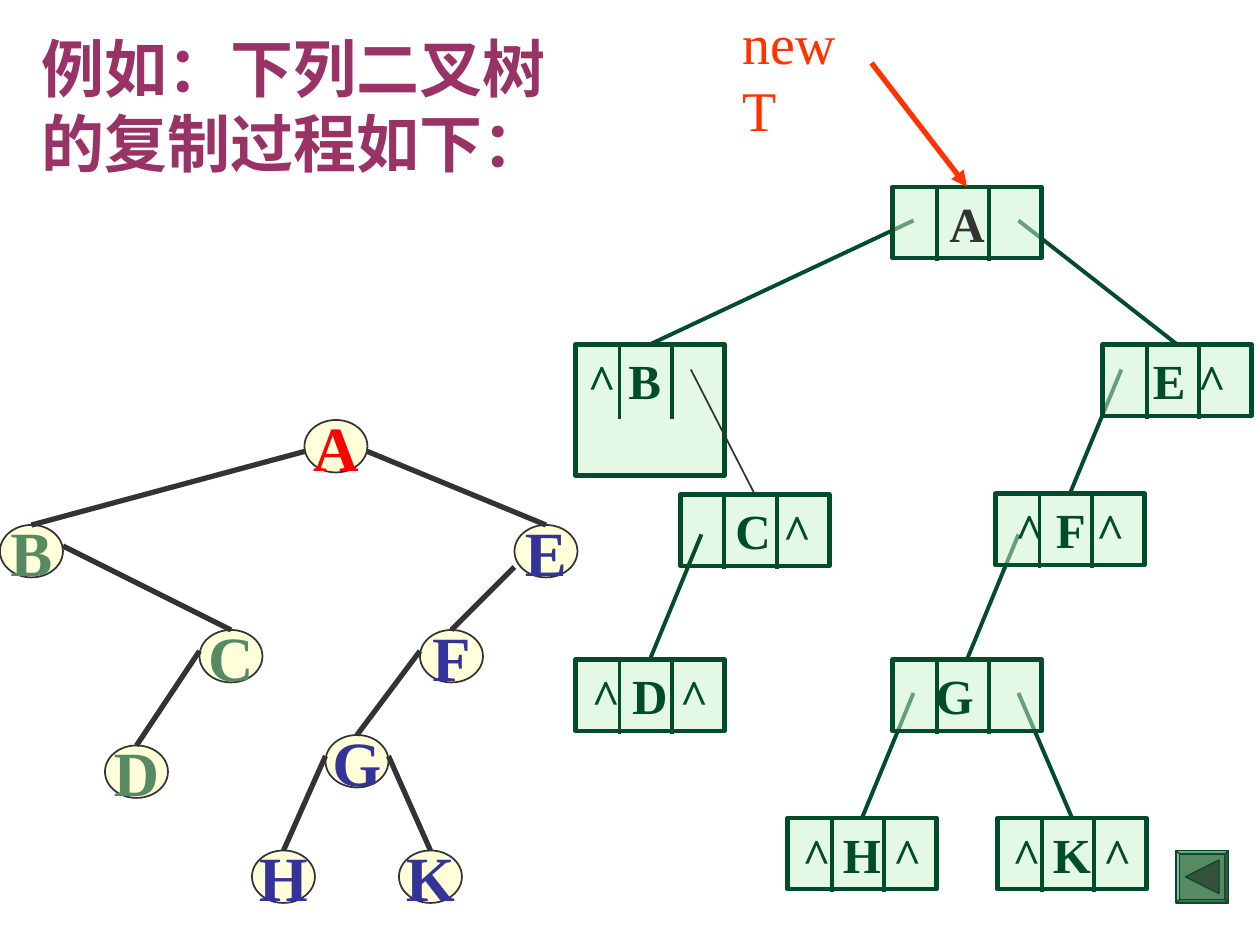
from dataclasses import dataclass

from lxml.etree import SubElement
from pptx import Presentation
from pptx.dml.color import RGBColor
from pptx.enum.shapes import MSO_CONNECTOR, MSO_SHAPE
from pptx.enum.text import MSO_ANCHOR, PP_ALIGN
from pptx.oxml.ns import qn
from pptx.util import Cm, Length, Pt

LATIN_FONT = "Times New Roman"
TITLE_FONT = "Noto Sans CJK SC"
CREAM = RGBColor(0xFF, 0xFF, 0xD9)
MINT = RGBColor(0xCA, 0xF2, 0xCE)
CHARCOAL = RGBColor(0x33, 0x33, 0x33)
DARK_GREEN = RGBColor(0x00, 0x4C, 0x2B)
SAGE = RGBColor(0x57, 0x89, 0x63)
SHADED_SAGE = RGBColor(0x34, 0x52, 0x3B)
INDIGO = RGBColor(0x33, 0x33, 0x99)
RED = RGBColor(0xFF, 0x00, 0x00)
ORANGE = RGBColor(0xFF, 0x33, 0x00)
PLUM = RGBColor(0x99, 0x33, 0x66)

CIRCLE_SIZE = (6, 5)
RECORD_WIDTH, RECORD_HEIGHT = 14.2, 6.8
DIVIDER_OFFSETS = (4.2, 9.2)


@dataclass
class Circle:
    name: str
    left: float
    top: float
    color: RGBColor


@dataclass
class Branch:
    parent: str
    child: str
    across: float
    down: float
    color: RGBColor = DARK_GREEN
    width: float = 2.25


@dataclass
class Record:
    name: str
    text: str
    left: float
    top: float
    branches: tuple = ()
    branches_on_top: bool = False
    height: float = RECORD_HEIGHT
    align: PP_ALIGN = PP_ALIGN.CENTER
    color: RGBColor = DARK_GREEN
    indent: float = 0
    right_indent: float = 0


CIRCLES = [
    Circle("A", 29, 40, RED), Circle("B", 0, 50, SAGE), Circle("C", 19, 60, SAGE),
    Circle("D", 10, 71, SAGE), Circle("E", 49, 50, INDIGO), Circle("F", 40, 60, INDIGO),
    Circle("G", 31, 70, INDIGO), Circle("H", 24, 81, INDIGO), Circle("K", 38, 81, INDIGO),
]
CIRCLE_BRANCHES = [
    Branch(parent, child, across, down, CHARCOAL, 3)
    for parent, child, across, down in (
        ("A", "B", 0, 3), ("B", "C", 6, 2), ("C", "D", 0, 2), ("A", "E", 6, 3),
        ("E", "F", 0, 4), ("F", "G", 0, 2), ("G", "H", 0, 2), ("G", "K", 6, 2))
]
# Children come before their parents, so that each branch has a box to join.
RECORDS = [
    Record("D", "^ D ^", 54.8, 62.8),
    Record("C", "C ^", 64.8, 47.1, (Branch("C", "D", 2, 3.8),), True, indent=0.74),
    Record("B", "^ B", 54.8, 32.8, (Branch("B", "C", 11, 2.4, CHARCOAL, 1),), True,
           height=12.5, align=PP_ALIGN.LEFT),
    Record("H", "^ H ^", 75, 77.9),
    Record("K", "^ K ^", 95, 77.9),
    Record("G", "G", 85, 62.8, (Branch("G", "H", 2, 3.2), Branch("G", "K", 12, 3.2)),
           right_indent=0.5),
    Record("F", "^ F ^", 94.8, 47, (Branch("F", "G", 2.2, 3.9),)),
    Record("E", "E ^", 105, 32.8, (Branch("E", "F", 1.8, 2.4),), indent=0.5),
    Record("A", "A", 85, 17.8, (Branch("A", "B", 2, 3.2), Branch("A", "E", 12, 3.2)),
           color=CHARCOAL),
]


def grid(units: float) -> Length:
    """Turn grid units, twelve to the inch, into a length."""
    return Cm(units * 2.54 / 12)


def add_box(slide, preset, left, top, width, height, fill, line, line_width):
    box = slide.shapes.add_shape(preset, grid(left), grid(top), grid(width), grid(height))
    box.shadow.inherit = False
    box.fill.solid()
    box.fill.fore_color.rgb = fill
    box.line.color.rgb = line
    box.line.width = Pt(line_width)
    return box


def set_text(box, text: str, size: float, color: RGBColor, align=PP_ALIGN.LEFT,
             bold=True, wrap=True, anchor=MSO_ANCHOR.TOP, font_name=LATIN_FONT) -> None:
    frame = box.text_frame
    frame.text = text
    frame.word_wrap = wrap
    frame.vertical_anchor = anchor
    para = frame.paragraphs[0]
    para.alignment = align
    span = para.runs[0]
    span.font.name = font_name
    span.font.size = Pt(size)
    span.font.bold = bold
    span.font.color.rgb = color
    SubElement(span.font._element, qn("a:ea")).set("typeface", font_name)


def add_line(slide, start: tuple, end: tuple, color: RGBColor, width: float, target=None):
    """Draw a line, joined to the top of the target if there is one."""
    line = slide.shapes.add_connector(
        MSO_CONNECTOR.STRAIGHT, *(grid(value) for value in (*start, *end)))
    line.line.color.rgb = color
    line.line.width = Pt(width)
    SubElement(line._element.spPr, qn("a:effectLst"))
    if target is not None:
        line.end_connect(target, 0)
    return line


def add_branch(slide, branch: Branch, places: dict, boxes: dict) -> None:
    parent = places[branch.parent]
    start = (parent.left + branch.across, parent.top + branch.down)
    add_line(slide, start, start, branch.color, branch.width, boxes[branch.child])


def add_circle_tree(slide) -> None:
    places = {circle.name: circle for circle in CIRCLES}
    boxes = {}
    for circle in CIRCLES:
        box = add_box(slide, MSO_SHAPE.OVAL, circle.left, circle.top, *CIRCLE_SIZE,
                      CREAM, CHARCOAL, 1)
        set_text(box, circle.name, 36, circle.color, PP_ALIGN.CENTER, wrap=False,
                 anchor=MSO_ANCHOR.MIDDLE)
        boxes[circle.name] = box
    for branch in CIRCLE_BRANCHES:
        add_branch(slide, branch, places, boxes)


def add_record(slide, record: Record):
    box = add_box(slide, MSO_SHAPE.RECTANGLE, record.left, record.top, RECORD_WIDTH,
                  record.height, MINT, DARK_GREEN, 2.5)
    color = box._element.spPr.find(qn("a:solidFill"))[0]
    SubElement(color, qn("a:alpha")).set("val", "50000")
    set_text(box, record.text, 28, record.color, record.align)
    box.text_frame.margin_left = Cm(0.25 + record.indent)
    box.text_frame.margin_right = Cm(0.25 + record.right_indent)
    for offset in DIVIDER_OFFSETS:
        across = record.left + offset
        add_line(slide, (across, record.top + 0.1), (across, record.top + 7.1),
                 DARK_GREEN, 2.25)
    return box


def add_record_tree(slide) -> dict:
    places = {record.name: record for record in RECORDS}
    boxes = {}
    for record in RECORDS:
        if record.branches_on_top:
            boxes[record.name] = add_record(slide, record)
        for branch in record.branches:
            add_branch(slide, branch, places, boxes)
        if not record.branches_on_top:
            boxes[record.name] = add_record(slide, record)
    return boxes


def add_label(slide, left, top, width, height, text, size, color, **style) -> None:
    box = slide.shapes.add_textbox(grid(left), grid(top), grid(width), grid(height))
    set_text(box, text, size, color, **style)


def add_back_button(slide) -> None:
    button = add_box(slide, MSO_SHAPE.BEVEL, 112, 81, 5, 5, SAGE, DARK_GREEN, 0.75)
    button.adjustments[0] = 0.07
    arrow = add_box(slide, MSO_SHAPE.ISOSCELES_TRIANGLE, 112.9, 81.9, 3.2, 3.2,
                    SHADED_SAGE, DARK_GREEN, 0.75)
    arrow.rotation = 270


def main() -> None:
    deck = Presentation()
    deck.slide_width, deck.slide_height = Cm(25.4), Cm(19.05)
    page = deck.slides.add_slide(deck.slide_layouts[6])
    add_circle_tree(page)
    boxes = add_record_tree(page)
    pointer = add_line(page, (83, 6), (92, 17.8), ORANGE, 3, boxes["A"])
    SubElement(pointer.line._get_or_add_ln(), qn("a:tailEnd")).set("type", "triangle")
    add_label(page, 2.8, 2.2, 51.2, 15.6, "例如：下列二叉树的复制过程如下：", 36, PLUM,
              font_name=TITLE_FONT)
    add_label(page, 69.5, 0.2, 14.5, 7.7, "newT", 32, ORANGE, bold=False, wrap=False)
    add_back_button(page)
    deck.save("out.pptx")


if __name__ == "__main__":
    main()
